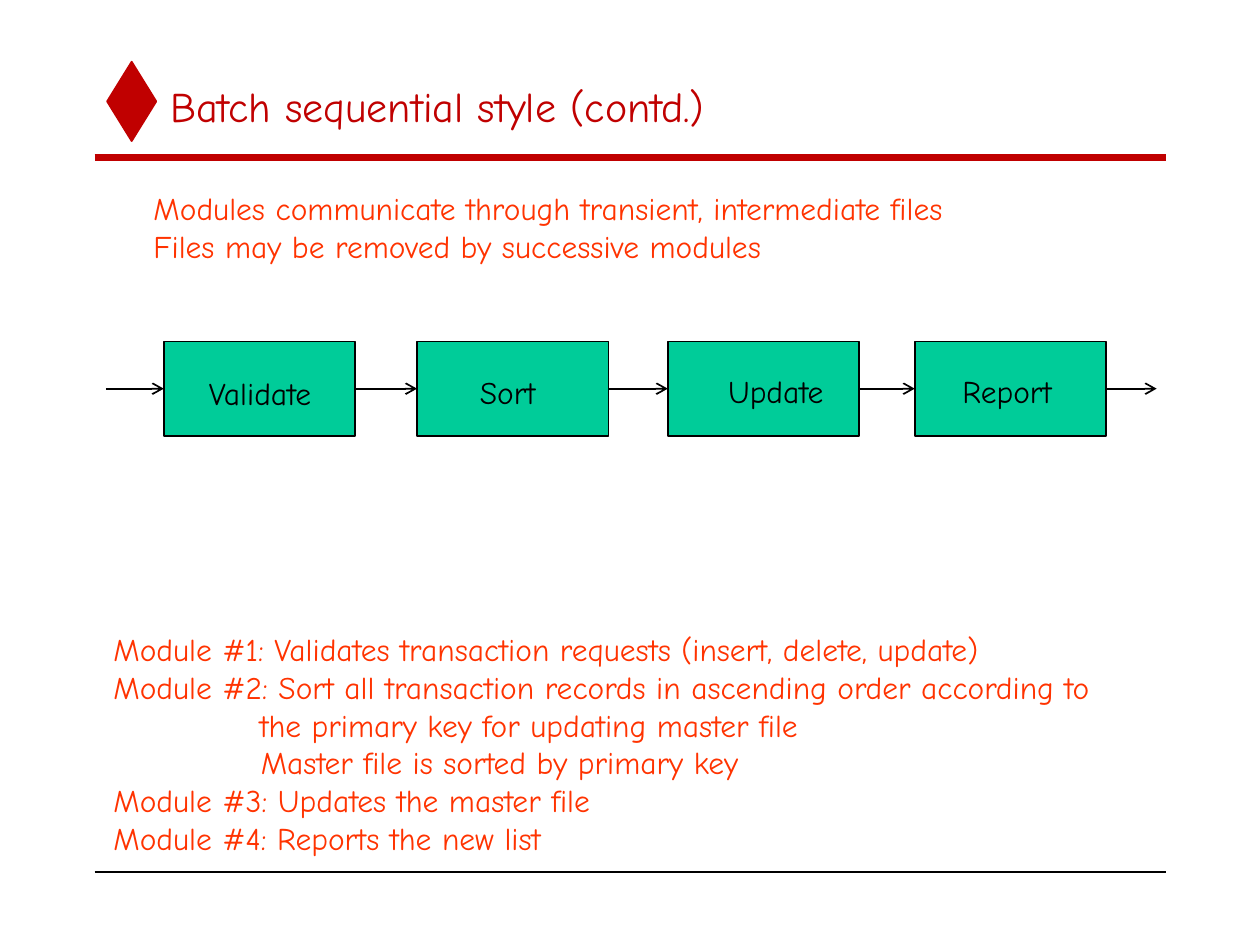
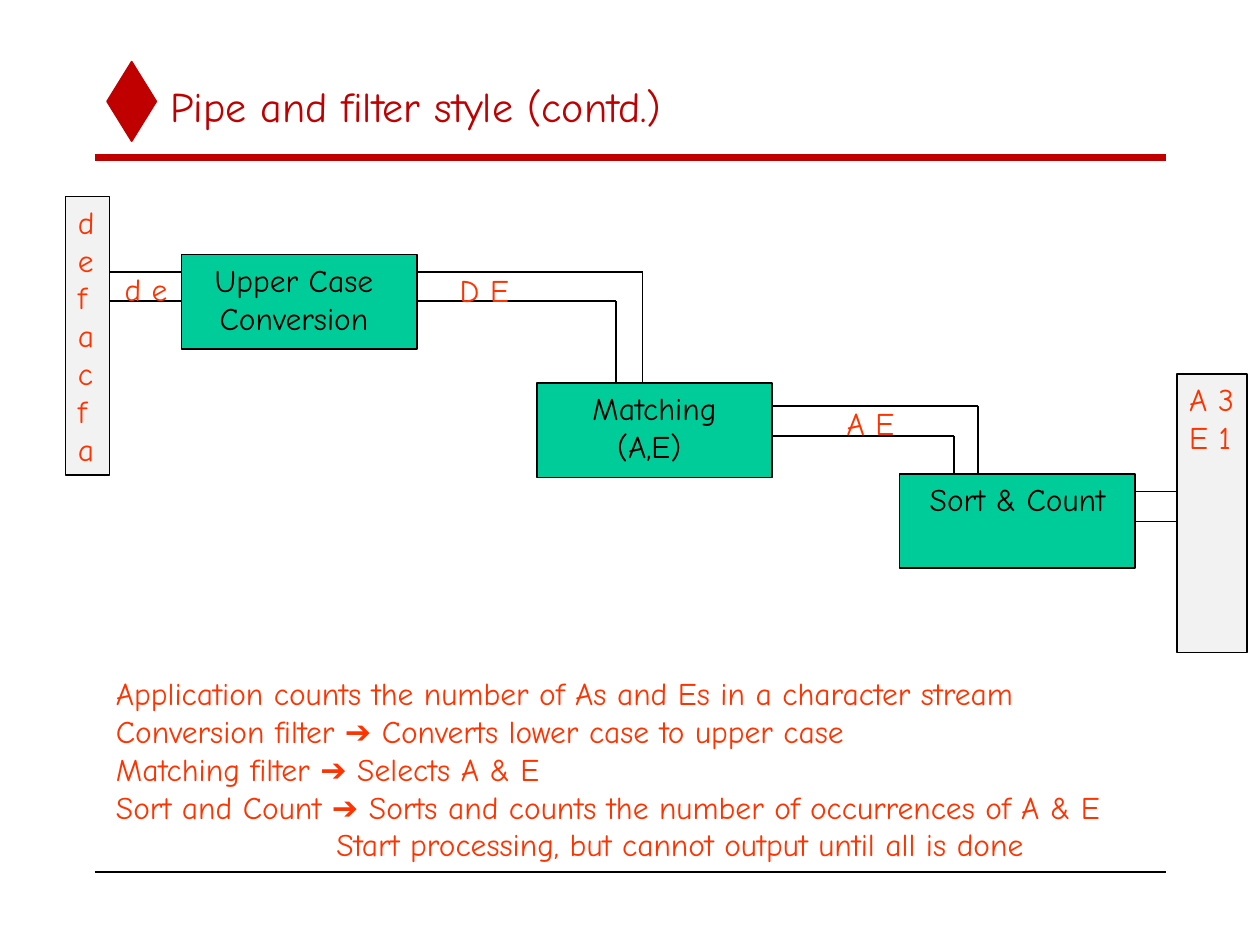
import dataclasses

import lxml.etree
import pptx
import pptx.dml.color
import pptx.enum.shapes
import pptx.enum.text
import pptx.oxml.ns
import pptx.util

Shape = pptx.enum.shapes.MSO_SHAPE
Align = pptx.enum.text.PP_ALIGN
Anchor = pptx.enum.text.MSO_ANCHOR
AutoSize = pptx.enum.text.MSO_AUTO_SIZE
qn = pptx.oxml.ns.qn

COLUMNS, ROWS = 100, 75
CELL = pptx.util.Inches(0.1)
ARROW = "➔"


@dataclasses.dataclass(frozen=True)
class Theme:
    font: str = "Comic Neue"
    symbol_font: str = "Arial"
    title_size: int = 24
    text_size: int = 18
    thin: int = 1
    thick: int = 4
    accent: str = "C00000"
    note: str = "FF3300"
    ink: str = "000000"
    module: str = "00CC99"
    stream: str = "F2F2F2"


THEME = Theme()


@dataclasses.dataclass(frozen=True)
class Box:
    """A rectangle measured in grid columns and rows."""
    x: float
    y: float
    w: float
    h: float

    @property
    def right(self):
        return self.x + self.w

    @property
    def middle(self):
        return self.y + self.h / 2

    def within(self, dx, dy, w, h):
        return Box(self.x + dx, self.y + dy, w, h)

    def emu(self):
        return [cells(v) for v in (self.x, self.y, self.w, self.h)]


PAGE = Box(7.5, 4.9, 85, 64.3)


def cells(value):
    return round(value * CELL)


def rgb(value):
    return pptx.dml.color.RGBColor.from_string(value)


def put(obj, **formats):
    for name, value in formats.items():
        setattr(obj, name, value)


def move(sp, box):
    put(sp, **dict(zip(("left", "top", "width", "height"), box.emu())))


def write(tf, lines, color, size=THEME.text_size, align=Align.LEFT,
          anchor=Anchor.TOP, wrap=False):
    """Fill a frame; a line is text, or a pair of text and left indent in columns."""
    put(tf, word_wrap=wrap, auto_size=AutoSize.NONE, vertical_anchor=anchor)
    for i, line in enumerate(lines):
        text, indent = line if isinstance(line, tuple) else (line, 0)
        p = tf.paragraphs[0] if i == 0 else tf.add_paragraph()
        pPr = p._p.get_or_add_pPr()
        pPr.set("marL", str(cells(indent)))
        pPr.set("indent", "0")
        lxml.etree.SubElement(pPr, qn("a:buNone"))
        put(p, alignment=align, space_before=pptx.util.Pt(0))
        for part in filter(None, text.partition(ARROW)):
            r = p.add_run()
            r.text = part
            name = THEME.symbol_font if part == ARROW else THEME.font
            put(r.font, name=name, size=pptx.util.Pt(size), bold=False)
            r.font.color.rgb = rgb(color)


def add_text(s, box, lines, color):
    write(s.shapes.add_textbox(*box.emu()).text_frame, lines, color)


def add_block(s, box, fill, line=THEME.ink, kind=Shape.RECTANGLE):
    sp = s.shapes.add_shape(kind, *box.emu())
    sp.shadow.inherit = False
    sp.fill.solid()
    sp.fill.fore_color.rgb = rgb(fill)
    sp.line.color.rgb = rgb(line)
    sp.line.width = pptx.util.Pt(THEME.thin)
    return sp


def add_line(s, x1, y1, x2, y2, color=THEME.ink, width=THEME.thin, arrow=False):
    c = s.shapes.add_connector(pptx.enum.shapes.MSO_CONNECTOR.STRAIGHT,
                               *map(cells, (x1, y1, x2, y2)))
    c.line.color.rgb = rgb(color)
    c.line.width = pptx.util.Pt(width)
    spPr = c._element.spPr
    if arrow:
        lxml.etree.SubElement(spPr.find(qn("a:ln")), qn("a:tailEnd"), type="arrow")
    lxml.etree.SubElement(spPr, qn("a:effectLst"))


def add_page(prs, title, notes, notes_box):
    """Add a slide with diamond, rules, title and the notes at the bottom."""
    s = prs.slides.add_slide(prs.slide_layouts[1])
    add_block(s, PAGE.within(1, 0, 3.9, 6.3), THEME.accent, THEME.accent, Shape.DIAMOND)
    for y, color, width in ((12.5, THEME.accent, THEME.thick),
                            (69.2, THEME.ink, THEME.thin)):
        add_line(s, PAGE.x, y, PAGE.right, y, color, width)
    move(s.shapes.title, PAGE.within(5, 0.1, 80, 6.7))
    write(s.shapes.title.text_frame, [title], THEME.accent, THEME.title_size,
          anchor=Anchor.MIDDLE, wrap=True)
    body = s.placeholders[1]
    move(body, notes_box)
    write(body.text_frame, notes, THEME.note)
    return s


def add_module_chain(s, box, modules):
    """Draw named modules in a row, joined by arrows across the box."""
    x = box.x
    for left, name, label_dx, label_dy, label_w in modules:
        module = box.within(left, 0, 15.2, box.h)
        add_block(s, module, THEME.module)
        add_text(s, module.within(label_dx, label_dy, label_w, 4), [name], THEME.ink)
        add_line(s, x, box.middle, module.x, box.middle, arrow=True)
        x = module.right
    add_line(s, x, box.middle, box.right, box.middle, arrow=True)


def add_stage(s, box, lines):
    write(add_block(s, box, THEME.module).text_frame, lines, THEME.ink,
          align=Align.CENTER)


def add_stream(s, box, lines):
    write(add_block(s, box, THEME.stream).text_frame, lines, THEME.note)


def add_pipe(s, start, end, lanes, drops=None):
    """Join two boxes by two walls: straight, or turning down at the drops.

    Lanes count rows from the top of start, drops count columns from the left of end.
    """
    for i, lane in enumerate(lanes):
        y = start.y + lane
        x = end.x + drops[i] if drops else end.x
        add_line(s, start.right, y, x, y)
        if drops:
            add_line(s, x, y, x, end.y)


def batch_sequential(prs):
    s = add_page(prs, "Batch sequential style (contd.)", [
        "Module #1: Validates transaction requests (insert, delete, update)",
        "Module #2: Sort all transaction records in ascending order according to",
        ("the primary key for updating master file", 11.6),
        ("Master file is sorted by primary key", 11.7),
        "Module #3: Updates the master file",
        "Module #4: Reports the new list",
    ], Box(8, 49.5, 80.7, 19))
    add_module_chain(s, Box(8.4, 27.1, 83.4, 7.5), [
        (4.6, "Validate", 2.6, 2.1, 10.3),
        (24.7, "Sort", 4, 2, 6.4),
        (44.6, "Update", 3.8, 1.9, 9.6),
        (64.2, "Report", 2.8, 1.9, 9.1),
    ])
    add_text(s, Box(11.2, 14.5, 65.7, 10), [
        "Modules communicate through transient, intermediate files",
        "Files may be removed by successive modules",
    ], THEME.note)


def pipe_and_filter(prs):
    s = add_page(prs, "Pipe and filter style (contd.)", [
        "Application counts the number of As and Es in a character stream",
        "Conversion filter ➔ Converts lower case to upper case",
        "Matching filter ➔ Selects A & E",
        "Sort and Count ➔ Sorts and counts the number of occurrences of A & E",
        ("Start processing, but cannot output until all is done", 17.5),
    ], Box(8.2, 53, 81.4, 16))
    source = Box(5.2, 15.6, 3.5, 22.1)
    convert, match, count = (Box(x, y, 18.7, 7.5) for x, y in
                             ((14.4, 20.2), (42.6, 30.4), (71.4, 37.6)))
    sink = Box(93.4, 29.7, 5.6, 22.1)

    add_stream(s, source, "defacfa")
    add_stage(s, convert, ["Upper Case ", "Conversion "])
    add_stage(s, match, ["Matching", "(A,E) "])
    add_stage(s, count, ["Sort & Count"])
    add_stream(s, sink, ["A 3", "E 1"])

    add_pipe(s, source, convert, (6, 8.3))
    add_pipe(s, convert, match, (1.4, 3.7), (8.4, 6.3))
    add_pipe(s, match, count, (1.8, 4.2), (6.2, 4.3))
    add_pipe(s, count, sink, (1.4, 3.8))

    for text, box in (("d e", source.within(3.7, 5.3, 5.4, 4)),
                      ("D E", convert.within(21.1, 0.8, 5.9, 4)),
                      ("A E", match.within(23.6, 1.2, 5.8, 4))):
        add_text(s, box, [text], THEME.note)


def main():
    prs = pptx.Presentation()
    put(prs, slide_width=cells(COLUMNS), slide_height=cells(ROWS))
    batch_sequential(prs)
    pipe_and_filter(prs)
    prs.save("out.pptx")


if __name__ == "__main__":
    main()
